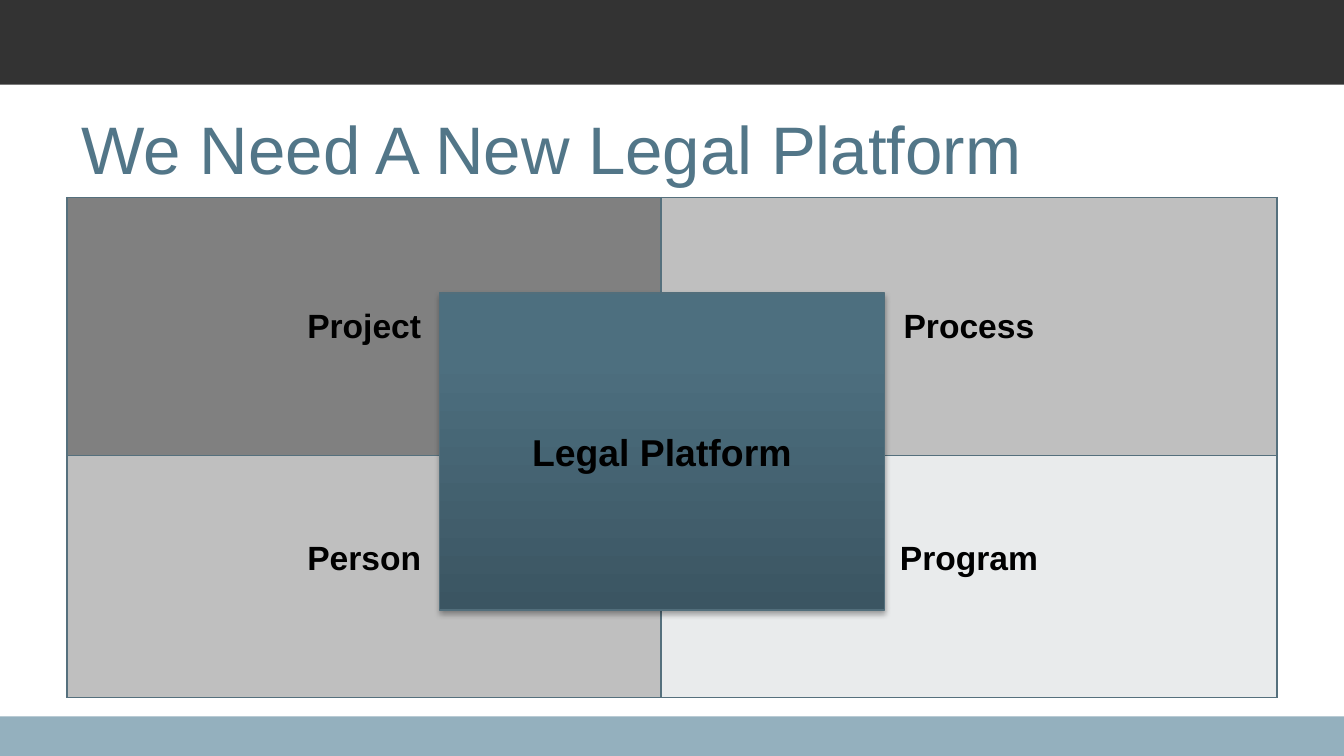
from lxml import etree
from pptx import Presentation
from pptx.dml.color import RGBColor
from pptx.enum import shapes, text
from pptx.oxml import parse_xml
from pptx.oxml.ns import nsdecls, qn
from pptx.util import Inches, Pt

WIDE = 10
HIGH = WIDE * 9 / 16
COLORS = {
    "dark": "333333", "foot": "94B0BE", "title": "527688", "black": "000000",
    "edge": "55707D", "line": "526E7B",
    "gray": "808080", "silver": "BFBFBF", "pale": "E9EBEC",
    "deep": "3B5562", "mid": "4D6F7F", "top": "4C6F80",
}
# Height, bottom margin and cells of each row
ROWS = [
    (1.92, 0.05, [("Project", "gray"), ("Process", "silver")]),
    (1.8, 0.32, [("Person", "silver"), ("Program", "pale")]),
]


def rgb(name):
    return RGBColor.from_string(COLORS[name])


def paint(obj, name):
    obj.fill.solid()
    obj.fill.fore_color.rgb = rgb(name)


def write(frame, words, size, color, bold=False, align=text.PP_ALIGN.CENTER):
    frame.word_wrap = True
    par = frame.paragraphs[0]
    par.text = words
    par.alignment = align
    font = par.font
    font.name, font.size, font.bold = "Arial", Pt(size), bold
    font.color.rgb = rgb(color)


def add_rect(slide, left, top, width, height):
    box = slide.shapes.add_shape(
        shapes.MSO_SHAPE.RECTANGLE,
        Inches(left), Inches(top), Inches(width), Inches(height))
    box.shadow.inherit = False
    return box


def add_band(slide, top, height, color):
    band = add_rect(slide, 0, top, WIDE, height)
    paint(band, color)
    band.line.fill.background()


def add_title(slide, words):
    box = slide.shapes.add_textbox(
        Inches(0.51), Inches(0.63), Inches(9), Inches(0.94))
    write(box.text_frame, words, 36, "title", align=text.PP_ALIGN.LEFT)
    box.text_frame.vertical_anchor = text.MSO_ANCHOR.MIDDLE


def add_edges(cell):
    """Put a 1 pt border on all four sides of a cell."""
    props = cell._tc.get_or_add_tcPr()
    for spot, side in enumerate("LRTB"):
        props.insert(spot, parse_xml(
            f'<a:ln{side} {nsdecls("a")} w="{Pt(1)}"><a:solidFill>'
            f'<a:srgbClr val="{COLORS["edge"]}"/></a:solidFill></a:ln{side}>'))


def add_grid(slide):
    grid = slide.shapes.add_table(
        2, 2, Inches(0.5), Inches(1.47), Inches(9), Inches(3.72)).table
    for col, width in zip(grid.columns, (4.42, 4.58)):
        col.width = Inches(width)
    for y, (height, margin, line) in enumerate(ROWS):
        grid.rows[y].height = Inches(height)
        for x, (words, color) in enumerate(line):
            cell = grid.cell(y, x)
            paint(cell, color)
            add_edges(cell)
            cell.vertical_anchor = text.MSO_ANCHOR.MIDDLE
            cell.margin_bottom = Inches(margin)
            write(cell.text_frame, words, 18, "black", bold=True)


def shade(box, stops, angle):
    """Fill with a gradient of (percent, color) stops."""
    box.fill.gradient()
    old = box._element.spPr.find(qn("a:gradFill"))
    marks = "".join(
        f'<a:gs pos="{pos * 1000}"><a:srgbClr val="{COLORS[name]}"/></a:gs>'
        for pos, name in stops)
    old.getparent().replace(old, parse_xml(
        f'<a:gradFill {nsdecls("a")} rotWithShape="1"><a:gsLst>{marks}</a:gsLst>'
        f'<a:lin ang="{angle * 60000}" scaled="0"/></a:gradFill>'))


def add_shadow(box):
    effects = box._element.spPr.find(qn("a:effectLst"))
    drop = etree.SubElement(
        effects, qn("a:outerShdw"), blurRad=str(Pt(3.1)), dist=str(Pt(1.8)),
        dir=str(90 * 60000), rotWithShape="0")
    color = etree.SubElement(drop, qn("a:srgbClr"), val=COLORS["black"])
    etree.SubElement(color, qn("a:alpha"), val="35000")


def add_core(slide, words):
    core = add_rect(slide, 3.27, 2.18, 3.31, 2.36)
    shade(core, [(0, "deep"), (80, "mid"), (100, "top")], 270)
    core.line.color.rgb = rgb("line")
    core.line.width = Pt(0.75)
    add_shadow(core)
    write(core.text_frame, words, 20, "black", bold=True)
    core.text_frame.vertical_anchor = text.MSO_ANCHOR.MIDDLE


def main():
    deck = Presentation()
    deck.slide_width, deck.slide_height = Inches(WIDE), Inches(HIGH)
    slide = deck.slides.add_slide(deck.slide_layouts[6])
    add_band(slide, 5.33, HIGH - 5.33, "foot")
    add_band(slide, 0, 0.63, "dark")
    add_title(slide, "We Need A New Legal Platform")
    add_grid(slide)
    add_core(slide, "Legal Platform")
    deck.save("out.pptx")


if __name__ == "__main__":
    main()
